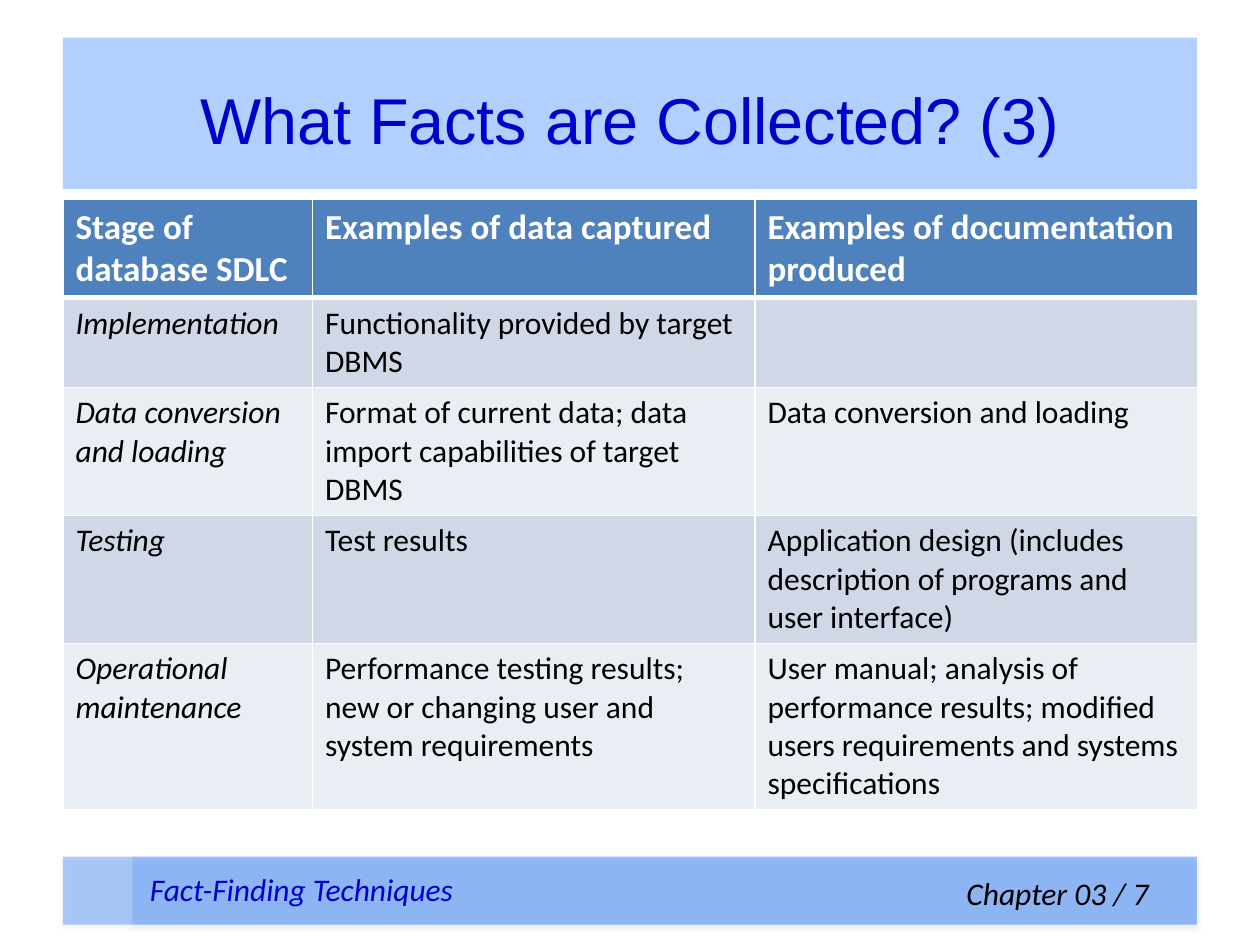
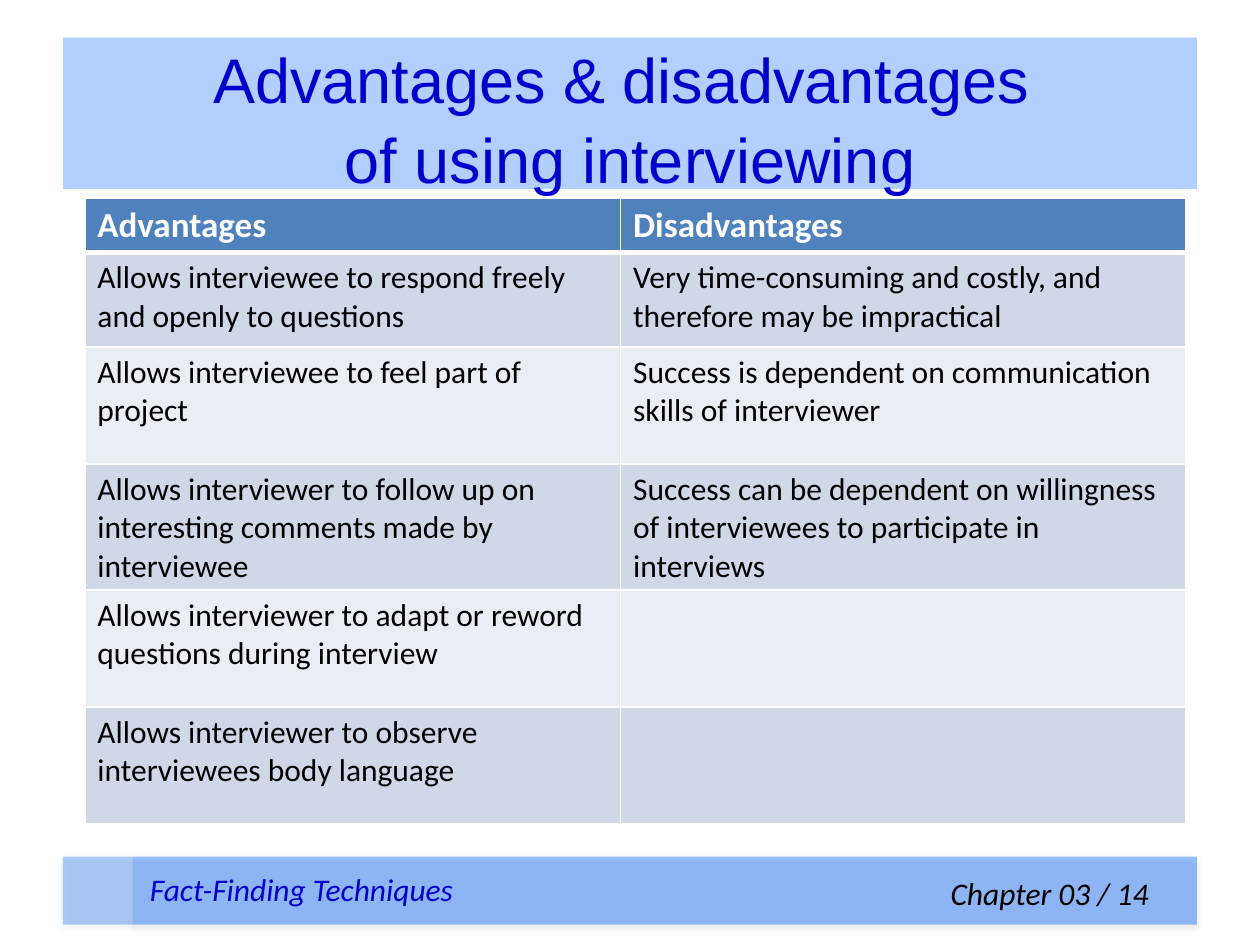
from lxml.etree import SubElement
from pptx import Presentation
from pptx.dml.color import RGBColor
from pptx.enum.shapes import MSO_SHAPE
from pptx.enum.text import MSO_ANCHOR, PP_ALIGN
from pptx.oxml import parse_xml
from pptx.oxml.ns import nsdecls, qn
from pptx.util import Cm, Pt

BLUE = RGBColor(0x00, 0x66, 0xFF)
NAVY = RGBColor(0x00, 0x00, 0xCC)
BLACK = RGBColor(0x00, 0x00, 0x00)
WHITE = RGBColor(0xFF, 0xFF, 0xFF)
HEAD = RGBColor(0x4F, 0x81, 0xBD)
BANDS = RGBColor(0xD0, 0xD8, 0xE8), RGBColor(0xE9, 0xED, 0xF4)

LEFT, WIDTH = 1.27, 22.86
TAB = 1.4  # width of the pale block at the left of the footer
FOOT_TOP, FOOT_HIGH = 17.27, 1.37
TOPIC = "Fact-Finding Techniques"

SLIDES = [
    {
        "title": "What Facts are Collected? (3)",
        "size": 37,
        "page": 7,
        "spot": (1.27, 4.02),
        "cols": [5.03, 8.92, 8.92],
        "rows": [1.95, 1.78, 2.54, 2.54, 3.3],
        "italic": True,
        "cells": [
            ("Stage of database SDLC", "Examples of data captured",
             "Examples of documentation produced"),
            ("Implementation", "Functionality provided by target DBMS", ""),
            ("Data conversion and loading",
             "Format of current data; data import capabilities of target DBMS",
             "Data conversion and loading"),
            ("Testing", "Test results",
             "Application design (includes description of programs and user interface)"),
            ("Operational maintenance",
             "Performance testing results; new or changing user and system requirements",
             "User manual; analysis of performance results; modified users "
             "requirements and systems specifications"),
        ],
    },
    {
        "title": "Advantages & disadvantages \vof using interviewing",
        "size": 36,
        "page": 14,
        "spot": (1.71, 3.99),
        "cols": [10.8, 11.4],
        "rows": [1.09, 1.9, 2.36, 2.54, 2.36, 2.36],
        "italic": False,
        "cells": [
            ("Advantages", "Disadvantages"),
            ("Allows interviewee to respond freely and openly to questions",
             "Very time-consuming and costly, and therefore may be impractical"),
            ("Allows interviewee to feel part of project",
             "Success is dependent on communication skills of interviewer"),
            ("Allows interviewer to follow up on interesting comments made by interviewee",
             "Success can be dependent on willingness of interviewees to "
             "participate in interviews"),
            ("Allows interviewer to adapt or reword questions during interview", ""),
            ("Allows interviewer to observe interviewees body language", ""),
        ],
    },
]


def style(para, size, color, name="Calibri", bold=False, italic=False):
    font = para.font
    font.name, font.size = name, Pt(size)
    font.bold, font.italic = bold, italic
    font.color.rgb = color


def add_band(slide, left, top, width, height, alpha):
    """Add a see-through blue rectangle without outline."""
    band = slide.shapes.add_shape(
        MSO_SHAPE.RECTANGLE, Cm(left), Cm(top), Cm(width), Cm(height))
    band.shadow.inherit = False
    band.fill.solid()
    band.fill.fore_color.rgb = BLUE
    color = band.fill._xPr.find(qn("a:solidFill"))[0]
    SubElement(color, qn("a:alpha"), val=str(alpha * 1000))
    band.line.fill.background()
    return band


def add_shade(band):
    """Give a band a soft grey shadow below."""
    effects = band._element.spPr.find(qn("a:effectLst"))
    effects.append(parse_xml(
        f'<a:outerShdw {nsdecls("a")} blurRad="39370" dist="20320" dir="5400000" '
        'rotWithShape="0"><a:srgbClr val="808080"><a:alpha val="38000"/></a:srgbClr>'
        '</a:outerShdw>'))


def add_title(slide, text, size):
    frame = add_band(slide, LEFT, 0.76, WIDTH, 3.05, 30).text_frame
    frame.word_wrap = True
    frame.vertical_anchor = MSO_ANCHOR.MIDDLE
    frame.margin_top, frame.margin_bottom = Cm(0.12), Cm(0)
    frame.text = text
    para = frame.paragraphs[0]
    para.alignment = PP_ALIGN.CENTER
    para.line_spacing = 1.06
    style(para, size, NAVY, "Arial")


def add_note(slide, text, left, top, width, color, align):
    """Add one line of footer text."""
    box = slide.shapes.add_textbox(Cm(left), Cm(top), Cm(width), Cm(1.02))
    frame = box.text_frame
    frame.word_wrap = True
    frame.text = text
    para = frame.paragraphs[0]
    para.alignment = align
    style(para, 18, color, italic=True)
    return frame


def add_footer(slide, page):
    add_shade(add_band(slide, LEFT + TAB, FOOT_TOP, WIDTH - TAB, FOOT_HIGH, 40))
    add_shade(add_band(slide, LEFT, FOOT_TOP, TAB, FOOT_HIGH, 30))
    add_note(slide, TOPIC, 2.77, 17.42, 9.3, NAVY, PP_ALIGN.LEFT)
    frame = add_note(slide, f"Chapter 03 / {page}", 13.33, 17.5, 10.8,
                     BLACK, PP_ALIGN.RIGHT)
    frame.margin_right = Cm(0.97)


def set_edges(cell, row):
    """Draw white cell borders, thick between header and body."""
    widths = {"L": 1, "R": 1, "T": 3 if row == 1 else 1, "B": 3 if row == 0 else 1}
    props = cell._tc.get_or_add_tcPr()
    for side, width in widths.items():
        edge = SubElement(props, qn(f"a:ln{side}"), w=str(Pt(width)))
        SubElement(SubElement(edge, qn("a:solidFill")), qn("a:srgbClr"), val=str(WHITE))


def add_grid(slide, data):
    cols, rows = data["cols"], data["rows"]
    left, top = data["spot"]
    grid = slide.shapes.add_table(
        len(rows), len(cols), Cm(left), Cm(top), Cm(sum(cols)), Cm(sum(rows))).table
    for col, width in zip(grid.columns, cols):
        col.width = Cm(width)
    for r, (height, texts) in enumerate(zip(rows, data["cells"])):
        grid.rows[r].height = Cm(height)
        for c, text in enumerate(texts):
            cell = grid.cell(r, c)
            cell.text = text
            set_edges(cell, r)
            cell.fill.solid()
            cell.fill.fore_color.rgb = BANDS[(r - 1) % 2] if r else HEAD
            para = cell.text_frame.paragraphs[0]
            if r == 0:
                style(para, 20, WHITE, bold=True)
            else:
                style(para, 18, BLACK, italic=data["italic"] and c == 0)


def main():
    deck = Presentation()
    deck.slide_width, deck.slide_height = Cm(25.4), Cm(19.05)
    for data in SLIDES:
        slide = deck.slides.add_slide(deck.slide_layouts[6])
        add_title(slide, data["title"], data["size"])
        add_grid(slide, data)
        add_footer(slide, data["page"])
    deck.save("out.pptx")


if __name__ == "__main__":
    main()
